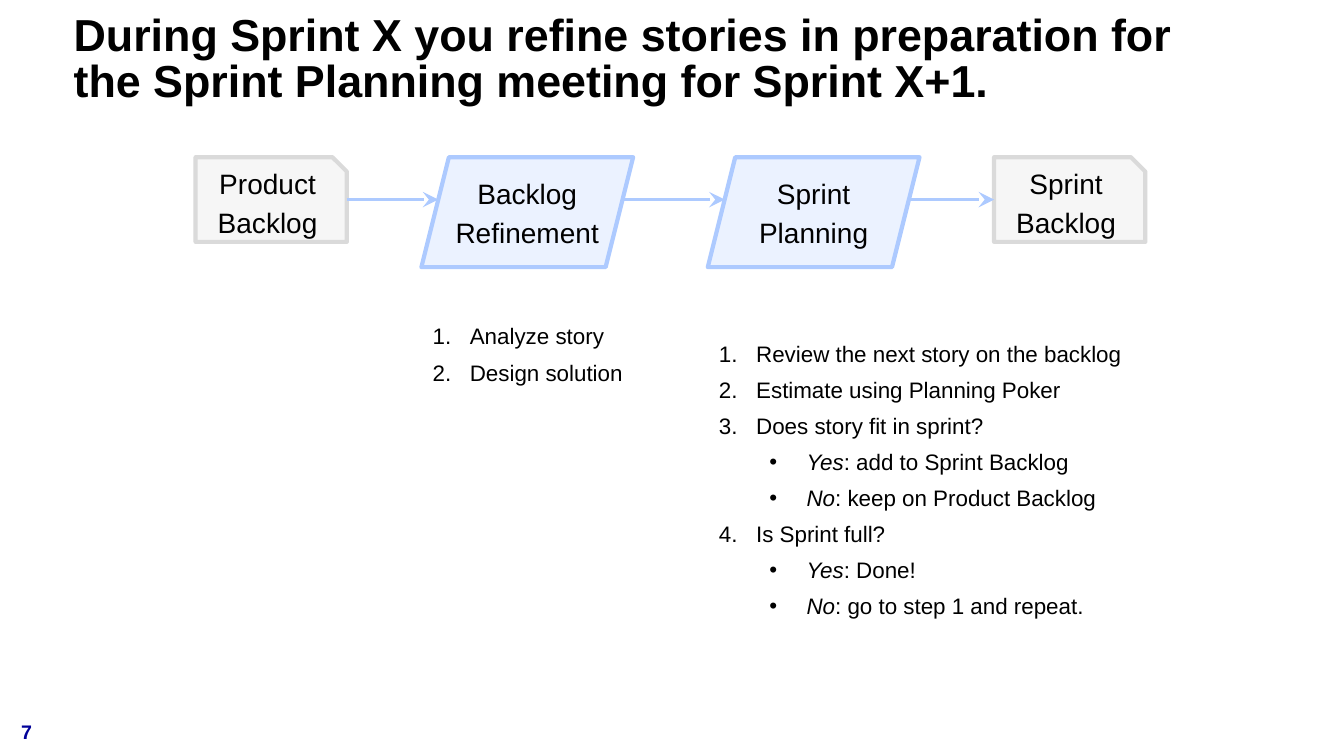
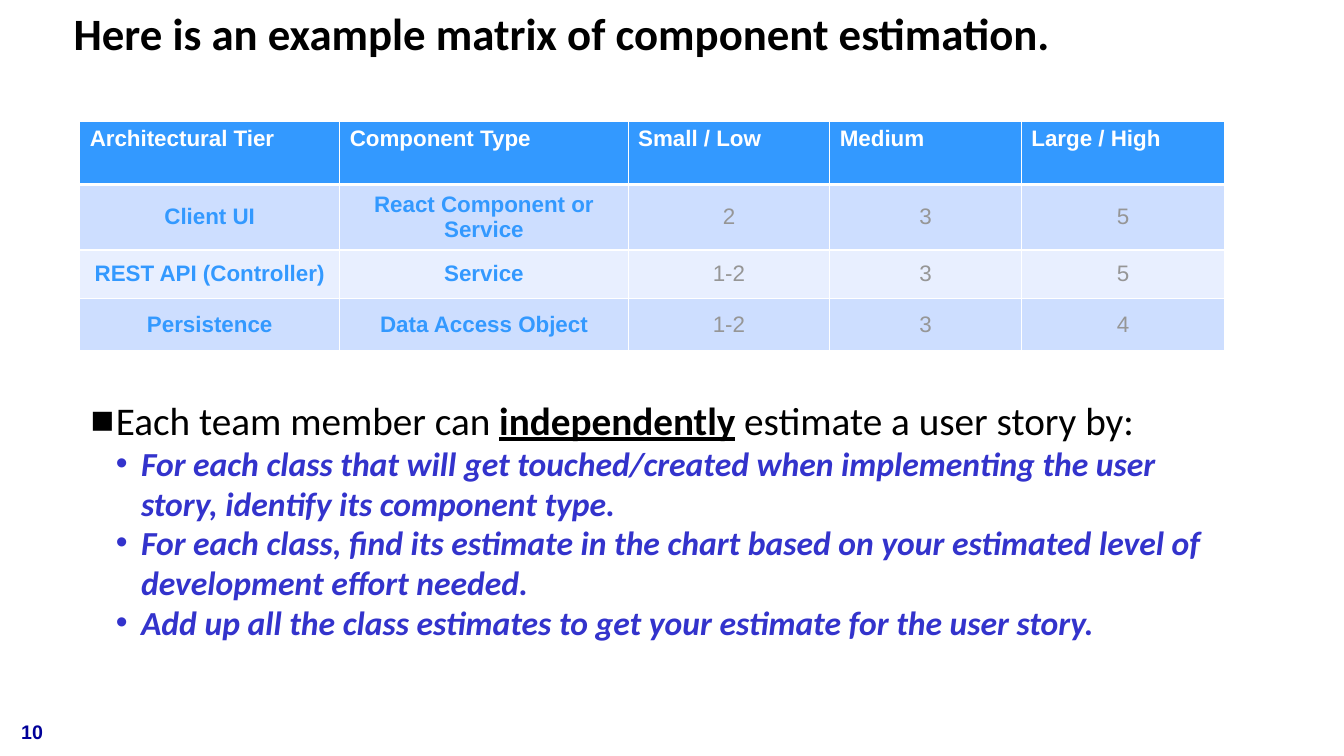
from pptx import Presentation
from pptx.dml.color import RGBColor
from pptx.enum.shapes import MSO_CONNECTOR, MSO_SHAPE
from pptx.enum.text import MSO_ANCHOR, MSO_AUTO_SIZE, PP_ALIGN
from pptx.oxml import parse_xml
from pptx.oxml.ns import nsdecls
from pptx.util import Inches, Pt

COLORS = {
    "black": "000000", "white": "FFFFFF", "number": "000099", "detail": "3333CC",
    "item_line": "DADADA", "item_fill": "F6F6F6",
    "step_line": "ADCAFF", "step_fill": "EBF2FF",
    "header": "3399FF", "band_dark": "CDDEFF", "band_light": "E8EFFF", "value": "969696",
}

# Content: a list entry is (level, spans), a span is (text, format)
ITALIC = {"italic": True}
STRONG = {"bold": True, "underline": True}

FLOW_TITLE = ("During Sprint X you refine stories in preparation for "
              "the Sprint Planning meeting for Sprint X+1.")
FLOW_STEPS = [  # text, kind, left
    ("Product\vBacklog", "item", 1.94),
    ("Backlog\vRefinement", "step", 4.18),
    ("Sprint\vPlanning", "step", 7.02),
    ("Sprint\vBacklog", "item", 9.86),
]
REFINEMENT_LIST = [
    (0, [("Analyze story", {})]),
    (0, [("Design solution", {})]),
]
PLANNING_LIST = [
    (0, [("Review the next story on the backlog", {})]),
    (0, [("Estimate using Planning Poker", {})]),
    (0, [("Does story fit in sprint?", {})]),
    (1, [("Yes", ITALIC), (": add to Sprint Backlog", {})]),
    (1, [("No", ITALIC), (": keep on Product Backlog", {})]),
    (0, [("Is Sprint full?", {})]),
    (1, [("Yes", ITALIC), (": Done!", {})]),
    (1, [("No", ITALIC), (": go to step 1 and repeat.", {})]),
]
MATRIX_TITLE = "Here is an example matrix of component estimation."
MATRIX_ROWS = [
    ("Architectural Tier", "Component Type", "Small / Low", "Medium", "Large / High"),
    ("Client UI", "React Component or Service", "2", "3", "5"),
    ("REST API (Controller)", "Service", "1-2", "3", "5"),
    ("Persistence", "Data Access Object", "1-2", "3", "4"),
]
COLUMN_WIDTHS = [2.58, 2.86, 2, 1.9, 2.02]
ROW_HEIGHTS = [0.63, 0.65, 0.48, 0.52]
ESTIMATE_LIST = [
    (0, [("Each team member can ", {}), ("independently", STRONG),
         (" estimate a user story by:", {})]),
    (1, [("For each class that will get touched/created when implementing the user "
          "story, identify its component type.", {})]),
    (1, [("For each class, find its estimate in the chart based on your estimated level of "
          "development effort needed.", {})]),
    (1, [("Add up all the class estimates to get your estimate for the user story.", {})]),
]

# Geometry of the flow
FLOW_TOP = 1.56
ARROW_Y = 1.98
KINDS = {
    "item": {"shape": MSO_SHAPE.SNIP_1_RECTANGLE, "size": (1.5, 0.84), "adjust": 0.17},
    "step": {"shape": MSO_SHAPE.PARALLELOGRAM, "size": (2.1, 1.09), "adjust": 0.25},
}


def color(name):
    return RGBColor.from_string(COLORS[name])


def write(para, text, font="Arial", size=16, ink="black", bold=False, italic=False,
          underline=False, align=PP_ALIGN.LEFT, line=None, after=0):
    """Add text to a paragraph and format both."""
    para.alignment = align
    para.space_before, para.space_after = Pt(0), Pt(after)
    para.line_spacing = line or 1.0
    start = len(para.runs)
    for index, part in enumerate(text.split("\v")):
        if index:
            para.add_line_break()
        para.add_run().text = part
    for span in para.runs[start:]:
        span.font.name, span.font.size = font, Pt(size)
        span.font.bold, span.font.italic, span.font.underline = bold, italic, underline
        span.font.color.rgb = color(ink)


def prepare(frame, anchor=MSO_ANCHOR.TOP, wrap=True, bottom=0.0):
    frame.auto_size = MSO_AUTO_SIZE.NONE
    frame.word_wrap = wrap
    frame.vertical_anchor = anchor
    frame.margin_left = frame.margin_right = frame.margin_top = 0
    frame.margin_bottom = Inches(bottom)
    return frame


def place(shape, left, top, width, height):
    shape.left, shape.top = Inches(left), Inches(top)
    shape.width, shape.height = Inches(width), Inches(height)


def start_slide(deck, layout, title, number, font, top, line=None):
    """Slide with its title and page number."""
    page = deck.slides.add_slide(deck.slide_layouts[layout])
    place(page.shapes.title, 0.73, top, 11.3, 0.95)
    write(prepare(page.shapes.title.text_frame).paragraphs[0], title,
          font=font, size=32, bold=True, line=line)
    box = page.shapes.add_textbox(Inches(0.21), Inches(7.14), Inches(0.31), Inches(0.25))
    write(prepare(box.text_frame).paragraphs[0], str(number),
          size=14, ink="number", bold=True)
    return page


def fill_list(body, entries, levels, hang, position):
    """Levels hold (indent, bullet, text format); a bullet of None counts."""
    place(body, *position)
    frame = prepare(body.text_frame)
    for index, (level, spans) in enumerate(entries):
        para = frame.add_paragraph() if index else frame.paragraphs[0]
        para.level = level
        indent, bullet, style = levels[level]
        for text, extra in spans:
            write(para, text, **{**style, **extra})
        properties = para._p.get_or_add_pPr()
        properties.set("marL", str(Inches(indent)))
        properties.set("indent", str(-Inches(hang)))
        properties.append(parse_xml(f'<a:buFont {nsdecls("a")} typeface="Arial"/>'))
        mark = f'buChar {nsdecls("a")} char="{bullet}"' if bullet else (
            f'buAutoNum {nsdecls("a")} type="arabicPeriod"')
        properties.append(parse_xml(f"<a:{mark}/>"))


def add_step(page, text, kind, left):
    look = KINDS[kind]
    width, height = look["size"]
    shape = page.shapes.add_shape(look["shape"], Inches(left), Inches(FLOW_TOP),
                                  Inches(width), Inches(height))
    shape.adjustments[0] = look["adjust"]
    shape.shadow.inherit = False
    shape.fill.solid()
    shape.fill.fore_color.rgb = color(kind + "_fill")
    shape.line.color.rgb = color(kind + "_line")
    shape.line.width = Pt(3)
    frame = prepare(shape.text_frame, MSO_ANCHOR.BOTTOM, wrap=False, bottom=0.03)
    write(frame.paragraphs[0], text, size=20, align=PP_ALIGN.CENTER, line=Pt(28))
    return shape


def side_edges(kind, left):
    """Left and right edge of a step at the height of the arrows."""
    width, height = KINDS[kind]["size"]
    if kind == "item":
        return left, left + width
    slant = KINDS[kind]["adjust"] * height
    shift = slant * (FLOW_TOP + height - ARROW_Y) / height
    return left + shift, left + width - slant + shift


def add_arrow(page, start, end):
    arrow = page.shapes.add_connector(MSO_CONNECTOR.STRAIGHT, Inches(start), Inches(ARROW_Y),
                                      Inches(end), Inches(ARROW_Y))
    arrow.line.color.rgb = color("step_line")
    arrow.line.width = Pt(2.25)
    arrow.line._get_or_add_ln().append(parse_xml(
        f'<a:tailEnd {nsdecls("a")} type="stealth" w="lg" len="lg"/>'))
    arrow._element.spPr.append(parse_xml(f'<a:effectLst {nsdecls("a")}/>'))
    return arrow


def set_borders(cell, **points):
    properties = cell._tc.get_or_add_tcPr()
    for index, side in enumerate("LRTB"):
        properties.insert(index, parse_xml(
            f'<a:ln{side} {nsdecls("a")} w="{Pt(points.get(side, 1))}"><a:solidFill>'
            f'<a:srgbClr val="{COLORS["white"]}"/></a:solidFill></a:ln{side}>'))


def build_flow(deck):
    page = start_slide(deck, 3, FLOW_TITLE, 7, "Arial", 0.14, Pt(33))
    shapes = [add_step(page, *step) for step in FLOW_STEPS]
    edges = [side_edges(kind, left) for _, kind, left in FLOW_STEPS]
    for index in range(len(shapes) - 1):
        arrow = add_arrow(page, edges[index][1], edges[index + 1][0])
        if FLOW_STEPS[index][1] == "item":
            arrow.begin_connect(shapes[index], 3)
        if FLOW_STEPS[index + 1][1] == "item":
            arrow.end_connect(shapes[index + 1], 1)
    style = {"size": 16, "after": 6.6}
    levels = [(0.37, None, style), (0.87, "•", style)]
    fill_list(page.placeholders[1], REFINEMENT_LIST, levels, 0.37, (4.29, 3.2, 2.2, 0.8))
    fill_list(page.placeholders[2], PLANNING_LIST, levels, 0.37, (7.13, 3.37, 4.4, 2.8))


def build_matrix(deck):
    page = start_slide(deck, 1, MATRIX_TITLE, 10, "Calibri", 0.06)

    # Table of estimates
    table = page.shapes.add_table(
        len(MATRIX_ROWS), len(COLUMN_WIDTHS), Inches(0.79), Inches(1.2),
        Inches(sum(COLUMN_WIDTHS)), Inches(sum(ROW_HEIGHTS))).table
    for column, width in zip(table.columns, COLUMN_WIDTHS):
        column.width = Inches(width)
    for row_index, texts in enumerate(MATRIX_ROWS):
        table.rows[row_index].height = Inches(ROW_HEIGHTS[row_index])
        is_header = row_index == 0
        band = "header" if is_header else "band_dark" if row_index % 2 else "band_light"
        for column_index, text in enumerate(texts):
            is_label = column_index < 2
            cell = table.cell(row_index, column_index)
            cell.fill.solid()
            cell.fill.fore_color.rgb = color(band)
            set_borders(cell, B=3 if is_header else 1, T=3 if row_index == 1 else 1)
            cell.margin_left = cell.margin_right = Inches(0.1)
            cell.margin_top = cell.margin_bottom = Inches(0.05)
            cell.vertical_anchor = MSO_ANCHOR.TOP if is_header else MSO_ANCHOR.MIDDLE
            write(cell.text_frame.paragraphs[0], text, bold=is_header or is_label,
                  ink="white" if is_header else "header" if is_label else "value",
                  align=PP_ALIGN.LEFT if is_header else PP_ALIGN.CENTER)

    # How to estimate
    levels = [
        (0.25, "■", {"font": "Calibri", "size": 28}),
        (0.5, "•", {"font": "Calibri", "size": 24, "ink": "detail", "bold": True,
                    "italic": True, "line": Pt(28.4)}),
    ]
    fill_list(page.placeholders[1], ESTIMATE_LIST, levels, 0.25, (0.9, 3.93, 11.1, 2.5))


def main():
    deck = Presentation()
    deck.slide_width, deck.slide_height = Inches(13.33), Inches(7.5)
    build_flow(deck)
    build_matrix(deck)
    deck.save("out.pptx")


if __name__ == "__main__":
    main()
